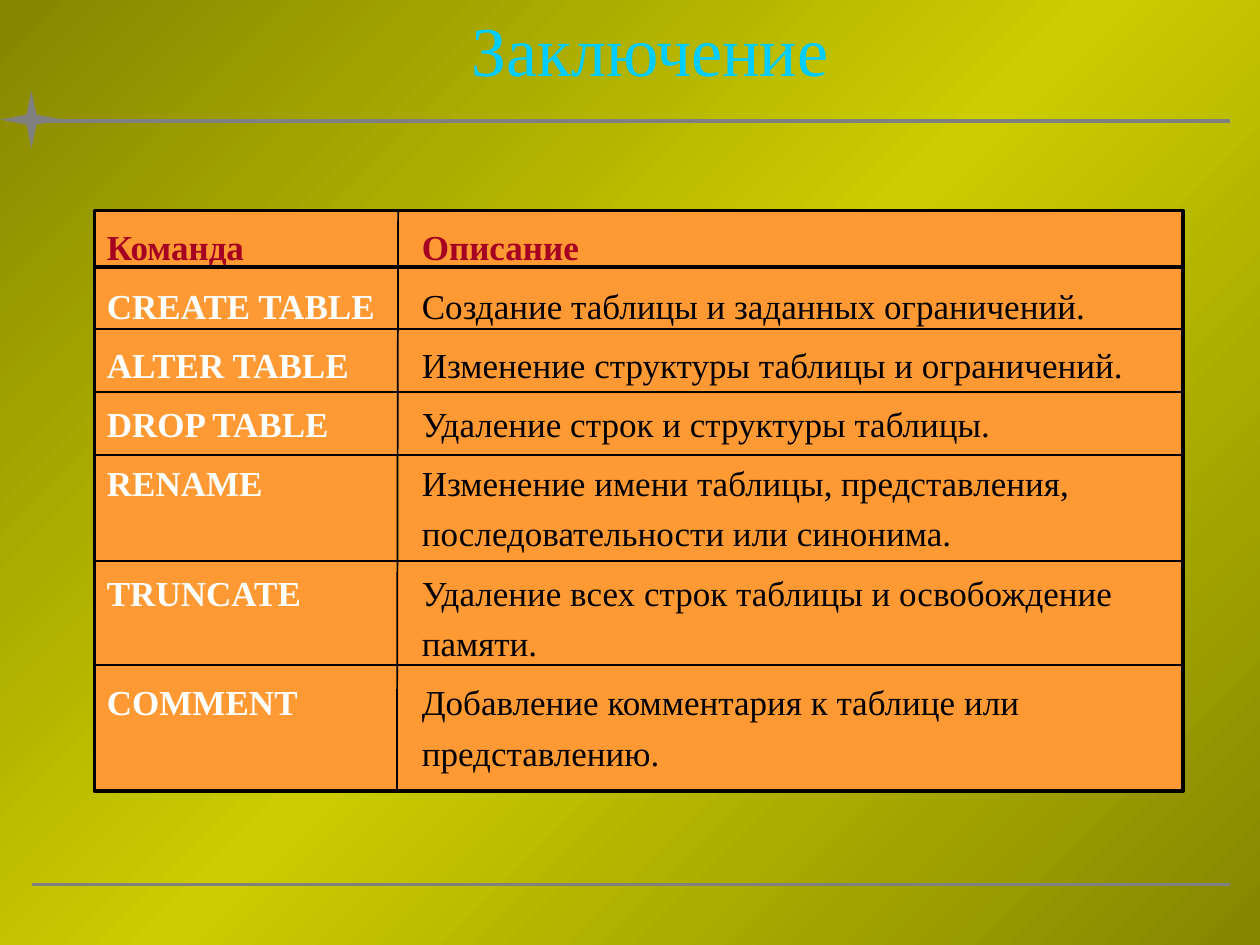
from copy import deepcopy

from lxml import etree
from pptx import Presentation
from pptx import util as u
from pptx.dml.color import RGBColor
from pptx.enum import shapes, text
from pptx.oxml.ns import qn

FONT = "Times New Roman"
GREY, BLACK, WHITE, RED = "808080", "000000", "FFFFFF", "A50021"
WIDTH, HEIGHT = 10, 7.5
PANEL_LEFT, PANEL_TOP, PANEL_WIDTH, PANEL_HEIGHT = 0.75, 1.67, 8.64, 4.61
NAME_COLUMN = 2.5
HEADER_BOTTOM = 2.12
ROW_BOTTOMS = [2.61, 3.11, 3.61, 4.45, 5.28]
COMMANDS = [
    ("Команда", "Описание"),
    ("CREATE TABLE", "Создание таблицы и заданных ограничений."),
    ("ALTER TABLE", "Изменение структуры таблицы и ограничений."),
    ("DROP TABLE", "Удаление строк и структуры таблицы."),
    ("RENAME", "Изменение имени таблицы, представления, последовательности или синонима."),
    ("TRUNCATE", "Удаление всех строк таблицы и освобождение памяти."),
    ("COMMENT", "Добавление комментария к таблице или представлению."),
]


def color(code):
    """Turn a hex string into a colour."""
    return RGBColor.from_string(code)


def paint_background(slide):
    """Fill the background with a diagonal gradient, bright in the middle."""
    fill = slide.background.fill
    fill.gradient()
    fill.gradient_angle = 315
    stop_list = slide.element.find(".//" + qn("a:gsLst"))
    stop_list.append(deepcopy(stop_list[-1]))
    for stop, position, code in zip(fill.gradient_stops, (0, 0.5, 1), ("868600", "CCCC00", "868600")):
        stop.position = position
        stop.color.rgb = color(code)


def add_rule(slide, start, end, code=BLACK, weight=1):
    """Draw a straight rule between two points."""
    rule = slide.shapes.add_connector(
        shapes.MSO_CONNECTOR.STRAIGHT, *(u.Inches(length) for length in (*start, *end)))
    rule.line.color.rgb = color(code)
    rule.line.width = u.Pt(weight)
    etree.SubElement(rule.element.spPr, qn("a:effectLst"))


def add_star(slide, x, y, reach_x, reach_y, waist):
    """Draw a four-pointed star around a centre."""
    offsets = [(-reach_x, 0), (-waist, -waist), (0, -reach_y), (waist, -waist),
               (reach_x, 0), (waist, waist), (0, reach_y), (-waist, waist)]
    points = [(u.Inches(x + dx), u.Inches(y + dy)) for dx, dy in offsets]
    outline = slide.shapes.build_freeform(*points[0])
    outline.add_line_segments(points[1:], close=True)
    star = outline.convert_to_shape()
    star.shadow.inherit = False
    star.fill.solid()
    star.fill.fore_color.rgb = color(GREY)
    star.line.fill.background()


def add_run(paragraph, words, size, code, bold=False):
    """Add one formatted run."""
    run = paragraph.add_run()
    run.text = words
    run.font.name = FONT
    run.font.size = u.Pt(size)
    run.font.bold = bold
    run.font.color.rgb = color(code)


def add_title(slide, words):
    """Add the centred slide title."""
    title = slide.shapes.add_textbox(u.Inches(1.17), 0, u.Inches(7.98), u.Inches(HEIGHT / 10))
    title.text_frame.word_wrap = True
    paragraph = title.text_frame.paragraphs[0]
    paragraph.alignment = text.PP_ALIGN.CENTER
    add_run(paragraph, words, 40, "00CCFF")


def add_command(paragraph, command, description, is_header):
    """Write a command and its description, set apart by a hanging indent."""
    paragraph.alignment = text.PP_ALIGN.LEFT
    paragraph.line_spacing = 1.2
    paragraph.space_before = u.Pt(5)
    properties = paragraph._p.get_or_add_pPr()
    properties.set("marL", str(u.Inches(NAME_COLUMN)))
    properties.set("indent", str(-u.Inches(NAME_COLUMN)))
    add_run(paragraph, command + "\t", 20, RED if is_header else WHITE, True)
    add_run(paragraph, description, 20, RED if is_header else BLACK, is_header)


def add_command_panel(slide):
    """Add the framed panel that lists the commands."""
    panel = slide.shapes.add_shape(
        shapes.MSO_SHAPE.RECTANGLE, u.Inches(PANEL_LEFT), u.Inches(PANEL_TOP),
        u.Inches(PANEL_WIDTH), u.Inches(PANEL_HEIGHT))
    panel.shadow.inherit = False
    panel.fill.solid()
    panel.fill.fore_color.rgb = color("FF9933")
    panel.line.color.rgb = color(BLACK)
    panel.line.width = u.Pt(2)
    frame = panel.text_frame
    frame.word_wrap = True
    frame.vertical_anchor = text.MSO_ANCHOR.TOP
    for index, (command, description) in enumerate(COMMANDS):
        paragraph = frame.add_paragraph() if index else frame.paragraphs[0]
        add_command(paragraph, command, description, index == 0)


def add_grid(slide):
    """Rule the panel into two columns and one row for each command."""
    right, bottom = PANEL_LEFT + PANEL_WIDTH, PANEL_TOP + PANEL_HEIGHT
    add_rule(slide, (3.16, PANEL_TOP), (3.15, bottom))
    for y in (HEADER_BOTTOM, *ROW_BOTTOMS):
        add_rule(slide, (PANEL_LEFT, y), (right, y), weight=2 if y == HEADER_BOTTOM else 1)


def main():
    """Build and save the slide."""
    deck = Presentation()
    deck.slide_width, deck.slide_height = u.Inches(WIDTH), u.Inches(HEIGHT)
    slide = deck.slides.add_slide(deck.slide_layouts[6])
    paint_background(slide)
    for y in (7.02, 0.96):
        add_rule(slide, (0.25, y), (WIDTH - 0.24, y), GREY, 2.25)
    add_star(slide, 0.25, 0.95, 0.25, 0.23, 0.04)
    add_title(slide, "Заключение")
    add_command_panel(slide)
    add_grid(slide)
    deck.save("out.pptx")


if __name__ == "__main__":
    main()
